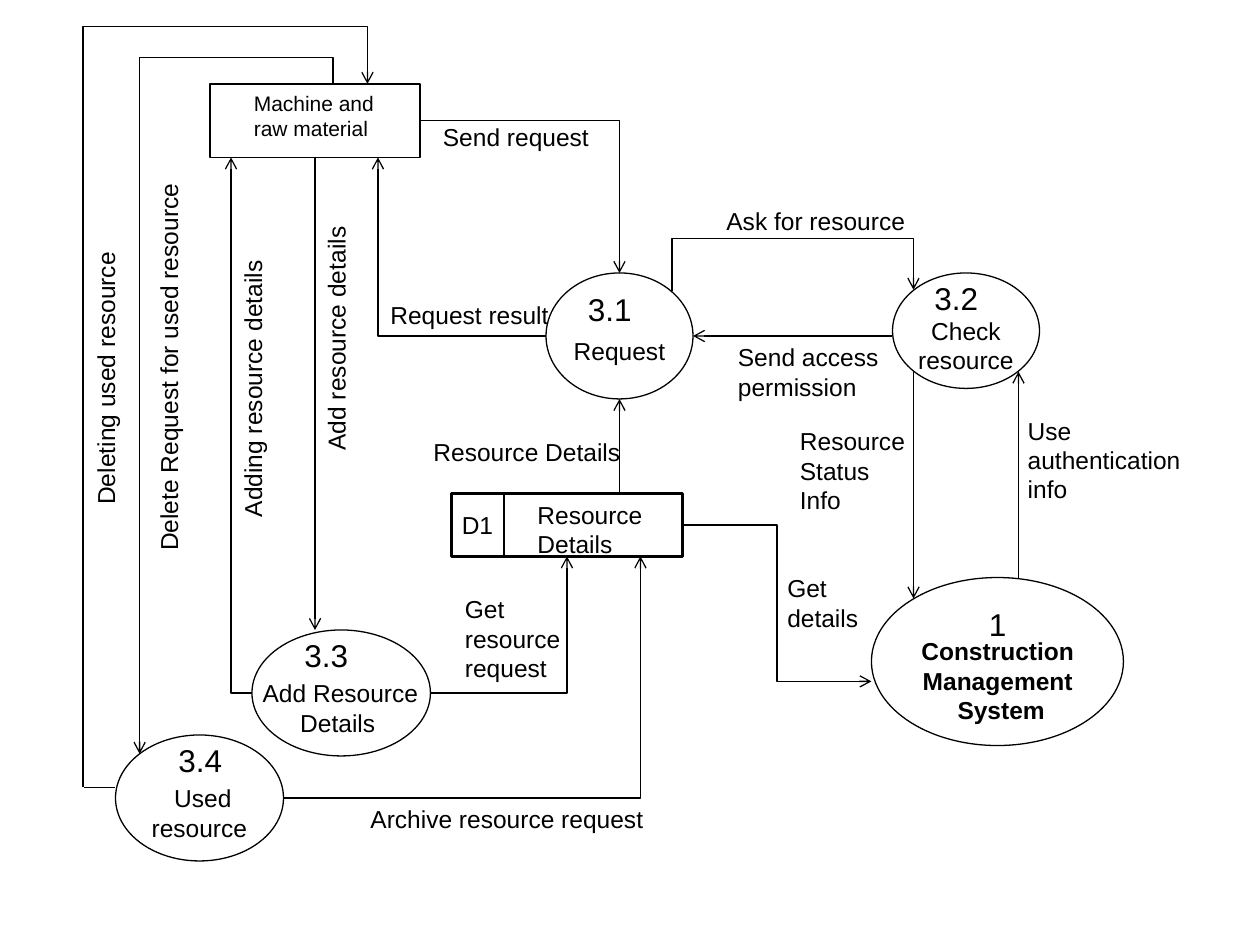
from pptx import Presentation
from pptx.util import Inches, Pt
from pptx.dml.color import RGBColor
from pptx.enum import shapes as sh, text as tx
from pptx.oxml import parse_xml
from pptx.oxml.ns import nsdecls, qn

# Content: all places are columns and rows of a grid, 12 cells to the inch
CELL = 1 / 12
INK = "000000"

# kind, left, top, width, height, line width, caption
NODES = [
    ("RECTANGLE", 43, 47, 22, 6, 2, ""),
    ("OVAL", 24, 60, 17, 12, 0.75, " Add Resource \nDetails "),
    ("OVAL", 52, 26, 14, 12, 0.75, "Request"),
    ("OVAL", 85, 26, 14, 11, 0.75, "Check\nresource"),
    ("OVAL", 11, 70, 16, 12, 0.75, " Used\nresource"),
    ("OVAL", 83, 55, 24, 16, 0.75, ""),
    ("RECTANGLE", 20, 8, 20, 7, 0.75, ""),
]

# left, top, width, words, changes to the usual format
NUM = {"size": 18}
UP = {"turn": 270}
LABELS = [
    (50, 47, 13.3, "Resource\nDetails", {}),
    (42.8, 48, 5.6, "D1", {}),
    (27.8, 60, 6.8, "3.3", NUM),
    (54.8, 27, 6.8, "3.1", NUM),
    (87.8, 26, 6.8, "3.2", NUM),
    (15.8, 70, 6.8, "3.4", NUM),
    (93, 57, 4.3, "1", NUM),
    (41, 11, 16.5, "Send request", {}),
    (68, 19, 19.6, "Ask for resource", {}),
    (96.7, 39, 17.8, "Use\nauthentication\ninfo", {}),
    (75, 40, 12.6, "Resource\nStatus\nInfo", {}),
    (19.7, 29.8, 24.6, "Add resource details", UP),
    (43.1, 56, 11.7, "Get\nresource\nrequest", {}),
    (10.2, 34.6, 27.7, "Adding resource details", UP),
    (36, 28, 17.7, "Request result", {}),
    (40.1, 41, 20.4, "Resource Details", {}),
    (-2.8, 32.8, 37.7, "Delete Request for used resource", UP),
    (34.1, 76, 28.6, "Archive resource request", {}),
    (-3.6, 33.6, 27.3, "Deleting used resource", UP),
    (73.8, 54, 9.6, "Get\ndetails", {}),
    (86.4, 60, 17.9, "Construction \nManagement \nSystem", {"bold": True, "mid": True}),
    (23, 8, 14.6, "Machine and\nraw material", {"size": 12}),
    (69.1, 32, 16.6, "Send access\npermission", {}),
]

# x1, y1, x2, y2, arrow at the end
LINES = [
    (48, 47, 48, 53, False),
    (97, 55.1, 97, 35.4, True),
    (87, 35.4, 87, 57, True),
    (30, 15, 30, 60, True),
    (59, 47, 59, 38, True),
    (32, 76, 27, 76, False),
    (8, 75, 11, 75, False),
    (85, 32, 66, 32, True),
]
# One corner: across, then up or down
CORNERS = [
    (40, 11.5, 59, 26),
    (41, 66, 54, 53),
    (24, 66, 22, 15),
    (52, 32, 36, 15),
    (32, 76, 61, 53),
]
# Two corners, across first
STEPS = [(65, 50, 83, 64.9)]
# Two corners, up first, to the row given last
LOOPS = [
    (64, 27.7, 87, 27.6, 22.7),
    (31.7, 8, 13.3, 71.8, 5.5),
    (7.9, 75, 35, 8, 2.5),
]

prs = Presentation()
prs.slide_width, prs.slide_height = Inches(10), Inches(7.5)
slide = prs.slides.add_slide(prs.slide_layouts[6])


def grid(*cells):
    return [Inches(c * CELL) for c in cells]


def hue(code):
    return RGBColor.from_string(code)


def write(frame, words, size=14, bold=False, mid=False):
    frame.word_wrap = False
    for i, row in enumerate(words.split("\n")):
        para = frame.paragraphs[0] if i == 0 else frame.add_paragraph()
        para.alignment = tx.PP_ALIGN.CENTER if mid else tx.PP_ALIGN.LEFT
        run = para.add_run()
        run.text = row
        for key, val in {"name": "Arial", "size": Pt(size), "bold": bold}.items():
            setattr(run.font, key, val)
        run.font.color.rgb = hue(INK)


def node(kind, x, y, w, h, line, words):
    box = slide.shapes.add_shape(sh.MSO_SHAPE[kind], *grid(x, y, w, h))
    box.shadow.inherit = False
    box.fill.background()
    box.line.color.rgb = hue(INK)
    box.line.width = Pt(line)
    if words:
        frame = box.text_frame
        frame.vertical_anchor = tx.MSO_ANCHOR.MIDDLE
        # The top inset leaves one row free for the number
        frame.margin_top = Inches(0.05 + 14 / 60)
        write(frame, words, mid=True)


def label(x, y, w, words, size=14, turn=0, **style):
    high = 0.1 + (words.count("\n") + 1) * size / 60
    box = slide.shapes.add_textbox(*grid(x, y, w), Inches(high))
    box.rotation = turn
    write(box.text_frame, words, size, **style)
    box.text_frame.auto_size = tx.MSO_AUTO_SIZE.SHAPE_TO_FIT_TEXT


def link(x1, y1, x2, y2, arrow=True, form="line"):
    con = slide.shapes.add_connector(sh.MSO_CONNECTOR.STRAIGHT, *grid(x1, y1, x2, y2))
    con.line.color.rgb = hue(INK)
    con.line.width = Pt(0.75)
    props = con._element.spPr
    props.find(qn("a:prstGeom")).set("prst", form)
    props.append(parse_xml(f"<a:effectLst {nsdecls('a')}/>"))
    if arrow:
        head = f'<a:tailEnd {nsdecls("a")} type="arrow"/>'
        con.line._get_or_add_ln().append(parse_xml(head))
    return props


def loop(x1, y1, x2, y2, row):
    # A quarter turn about the middle makes the connector start upright
    cx, cy = (x1 + x2) / 2, (y1 + y2) / 2
    dx, dy = (x2 - x1) / 2, (y2 - y1) / 2
    props = link(cx - dy, cy + dx, cx + dy, cy - dx, form="bentConnector3")
    props.find(qn("a:xfrm")).set("rot", str(90 * 60000))
    share = round((row - y1) / (y2 - y1) * 100000)
    guide = f'<a:gd {nsdecls("a")} name="adj1" fmla="val {share}"/>'
    props.find(qn("a:prstGeom")).find(qn("a:avLst")).append(parse_xml(guide))


# Shapes, then arrows, then words
for item in NODES:
    node(*item)
for item in LINES:
    link(*item)
for item in CORNERS:
    link(*item, form="bentConnector2")
for item in STEPS:
    link(*item, form="bentConnector3")
for item in LOOPS:
    loop(*item)
for *place, style in LABELS:
    label(*place, **style)

prs.save("out.pptx")
